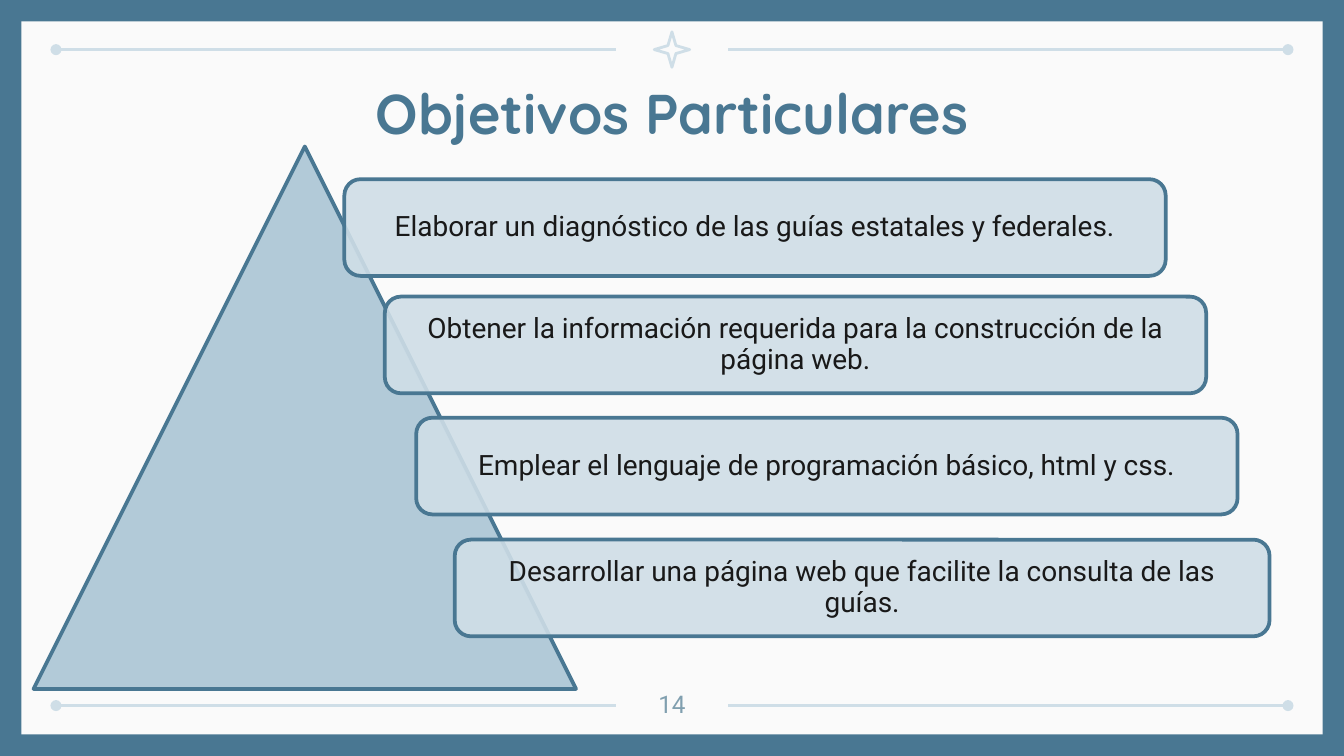
from lxml import etree
from pptx import Presentation
from pptx.dml.color import RGBColor
from pptx.enum.shapes import MSO_CONNECTOR, MSO_SHAPE
from pptx.enum.text import MSO_ANCHOR, PP_ALIGN
from pptx.oxml.ns import qn
from pptx.util import Pt

CENTER = PP_ALIGN.CENTER
TOP, MIDDLE = MSO_ANCHOR.TOP, MSO_ANCHOR.MIDDLE
STRAIGHT = MSO_CONNECTOR.STRAIGHT
BLUE, PALE, PAPER, INK = "497792", "CFDEE7", "FAFAFA", "191919"


def color(value):
    return RGBColor.from_string(value)


def write(box, text, font, size, ink, anchor, bold=False):
    frame = box.text_frame
    frame.word_wrap = True
    frame.vertical_anchor = anchor
    frame.margin_left = frame.margin_right = Pt(7)
    frame.margin_top = frame.margin_bottom = Pt(7)
    para = frame.paragraphs[0]
    para.alignment = CENTER
    span = para.add_run()
    span.text = text
    span.font.name = font
    span.font.size = Pt(size)
    span.font.bold = bold
    span.font.color.rgb = color(ink)
    return para


deck = Presentation()
deck.slide_width, deck.slide_height = Pt(720), Pt(405)
page = deck.slides.add_slide(deck.slide_layouts[5])
page.background.fill.solid()
page.background.fill.fore_color.rgb = color(BLUE)

panel = page.shapes.add_shape(MSO_SHAPE.RECTANGLE, Pt(11.5), Pt(11.5), Pt(697), Pt(382))
panel.shadow.inherit = False
panel.fill.solid()
panel.fill.fore_color.rgb = color(PAPER)
panel.line.fill.background()

for y in (26.6, 378):
    for outer, inner in ((30, 330), (690, 390)):
        rule = page.shapes.add_connector(STRAIGHT, Pt(outer), Pt(y), Pt(inner), Pt(y))
        rule.line.color.rgb = color(PALE)
        rule.line.width = Pt(1.5)
        etree.SubElement(rule.line._get_or_add_ln(), qn("a:headEnd"), type="oval")
        etree.SubElement(rule.element.spPr, qn("a:effectLst"))

star = page.shapes.add_shape(MSO_SHAPE.STAR_4_POINT, Pt(350.5), Pt(17.1), Pt(19), Pt(19))
star.adjustments[0] = 0.16
star.shadow.inherit = False
star.fill.background()
star.line.color.rgb = color(PALE)
star.line.width = Pt(1.5)

title = page.shapes.title
title.left, title.top, title.width, title.height = Pt(56.7), Pt(34.8), Pt(606.6), Pt(45)
write(title, "Objetivos Particulares", "Quicksand", 30, BLUE, TOP, bold=True)
title.element.getparent().append(title.element)

number = page.shapes.add_textbox(Pt(338.4), Pt(362.2), Pt(43.2), Pt(26))
write(number, "14", "Roboto", 13, "809FAF", TOP)

pyramid = page.shapes.add_shape(MSO_SHAPE.ISOSCELES_TRIANGLE, Pt(18), Pt(78.5), Pt(290.6), Pt(290.6))
pyramid.shadow.inherit = False
pyramid.fill.solid()
pyramid.fill.fore_color.rgb = color("B2CAD8")
pyramid.line.color.rgb = color(BLUE)
pyramid.line.width = Pt(2)

goals = [
    (184.5, 96, 440, "Elaborar un diagnóstico de las guías estatales y federales."),
    (206.2, 158.9, 440, "Obtener la información requerida para la construcción de la página web."),
    (223, 223.8, 440, "Emplear el lenguaje de programación básico, html y css."),
    (243.6, 289.1, 436.5, "Desarrollar una página web que facilite la consulta de las guías."),
]
for left, top, width, text in goals:
    goal = page.shapes.add_shape(MSO_SHAPE.ROUNDED_RECTANGLE, Pt(left), Pt(top), Pt(width), Pt(51.8))
    goal.shadow.inherit = False
    goal.fill.solid()
    goal.fill.fore_color.rgb = color(PALE)
    tint = goal.element.spPr.find(qn("a:solidFill")).find(qn("a:srgbClr"))
    etree.SubElement(tint, qn("a:alpha"), val="90000")
    goal.line.color.rgb = color(BLUE)
    goal.line.width = Pt(2)
    para = write(goal, text, "Roboto", 15, INK, MIDDLE)
    para.line_spacing = 0.9

deck.save("out.pptx")
